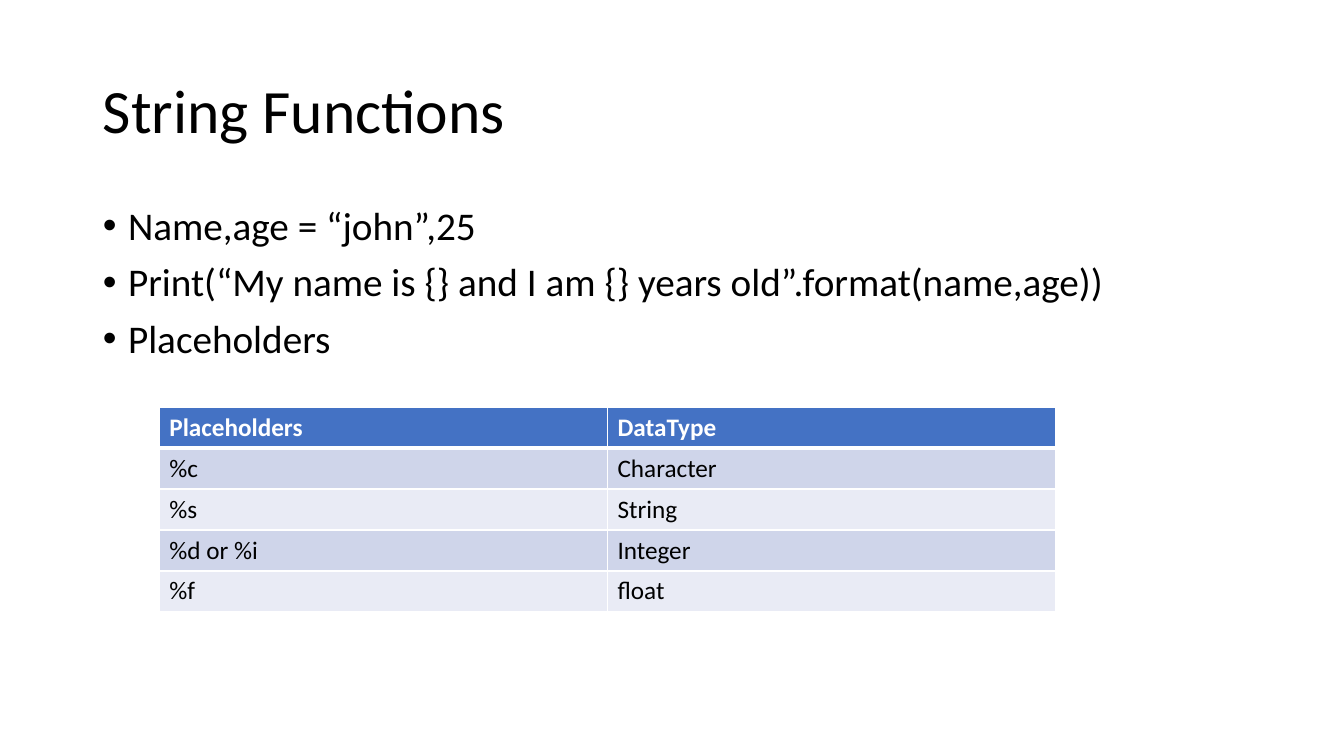
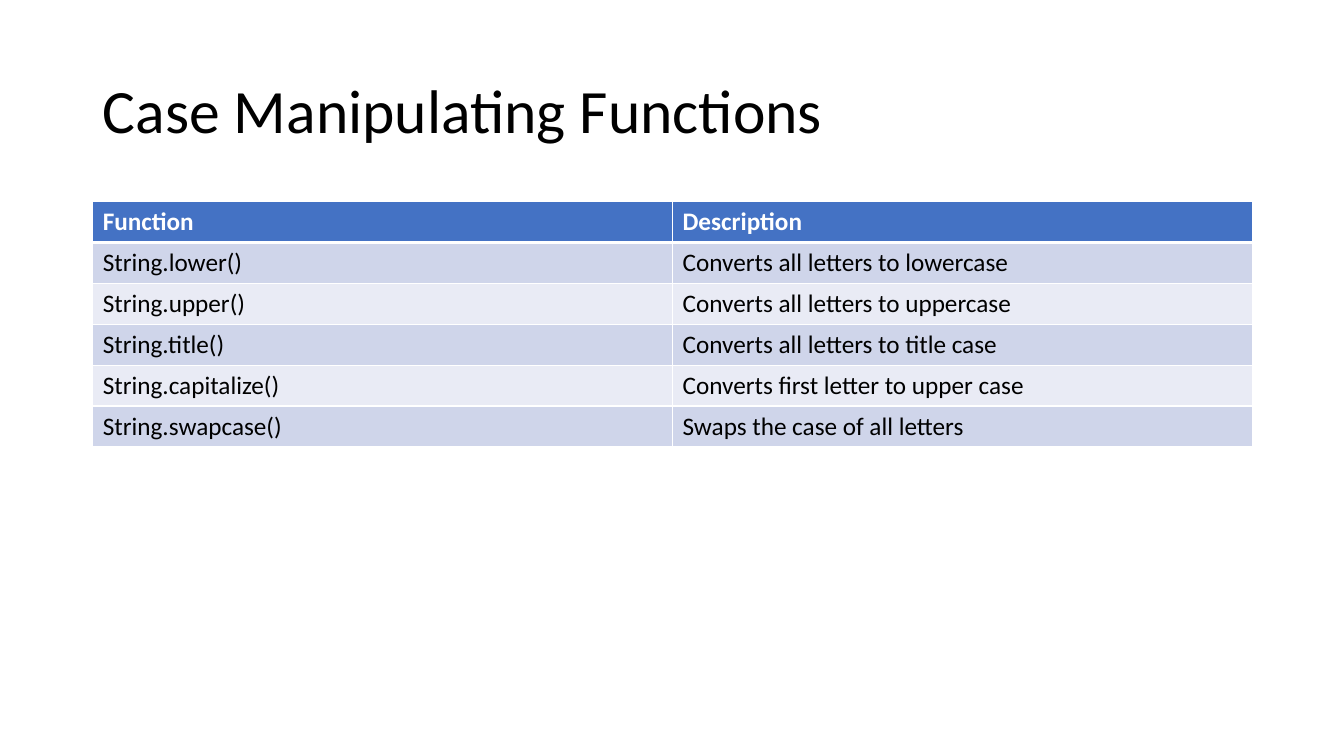
from dataclasses import dataclass

from lxml.etree import SubElement
from pptx import Presentation
from pptx.dml.color import RGBColor
from pptx.enum.text import MSO_ANCHOR as Anchor, MSO_AUTO_SIZE as AutoSize, PP_ALIGN as Align
from pptx.oxml.ns import qn
from pptx.util import Inches, Pt


@dataclass(frozen=True)
class Theme:
    font: str = "Calibri"
    text: str = "000000"
    light: str = "FFFFFF"
    header: str = "4472C4"
    bands: tuple = ("CFD5EA", "E9EBF5")
    title_size: int = 44
    body_size: int = 28
    table_size: int = 18
    thin_border: int = 1
    thick_border: int = 3


TITLE_BOX = (0.92, 0.4, 11.5, 1.45)
BODY_BOX = (0.92, 2, 11.5, 4.76)
BULLET_INDENT = 0.25
CONTENT_LAYOUT, TITLE_LAYOUT = 1, 5


class Deck:
    def __init__(self, theme):
        self.theme = theme
        self.presentation = Presentation()
        self.presentation.slide_width = Inches(13.33)
        self.presentation.slide_height = Inches(7.5)
        self.slide = None

    def set_values(self, target, values):
        for name, value in values.items():
            setattr(target, name, value)

    def style_font(self, paragraph, size, color, bold=False):
        self.set_values(paragraph.font, {"name": self.theme.font, "size": Pt(size), "bold": bold})
        paragraph.font.color.rgb = RGBColor.from_string(color)

    def place(self, shape, box):
        self.set_values(shape, dict(zip(("left", "top", "width", "height"), map(Inches, box))))

    def add_slide(self, title, layout):
        self.slide = self.presentation.slides.add_slide(self.presentation.slide_layouts[layout])
        shape = self.slide.shapes.title
        self.place(shape, TITLE_BOX)
        shape.text_frame.text = title
        self.set_values(shape.text_frame, {"vertical_anchor": Anchor.MIDDLE, "auto_size": AutoSize.NONE})
        paragraph = shape.text_frame.paragraphs[0]
        self.set_values(paragraph, {"alignment": Align.LEFT, "line_spacing": 0.9})
        self.style_font(paragraph, self.theme.title_size, self.theme.text)

    def add_bullets(self, lines):
        shape = self.slide.placeholders[1]
        self.place(shape, BODY_BOX)
        shape.text_frame.text = "\n".join(lines)
        shape.text_frame.auto_size = AutoSize.NONE
        for index, paragraph in enumerate(shape.text_frame.paragraphs):
            properties = paragraph._p.get_or_add_pPr()
            properties.set("marL", str(Inches(BULLET_INDENT)))
            properties.set("indent", str(-Inches(BULLET_INDENT)))
            SubElement(properties, qn("a:buFont"), typeface="Arial")
            SubElement(properties, qn("a:buChar"), char="•")
            self.set_values(paragraph, {"line_spacing": 0.9, "space_before": Pt(10 if index else 0)})
            self.style_font(paragraph, self.theme.body_size, self.theme.text)

    def add_borders(self, cell, row_index):
        thin, thick = self.theme.thin_border, self.theme.thick_border
        widths = {
            "lnL": thin,
            "lnR": thin,
            "lnT": thick if row_index == 1 else thin,
            "lnB": thick if row_index == 0 else thin,
        }
        properties = cell._tc.get_or_add_tcPr()
        for side, width in widths.items():
            line = SubElement(properties, qn(f"a:{side}"), w=str(Pt(width)))
            fill = SubElement(line, qn("a:solidFill"))
            SubElement(fill, qn("a:srgbClr"), val=self.theme.light)

    def add_table(self, rows, box):
        theme = self.theme
        table = self.slide.shapes.add_table(len(rows), len(rows[0]), *map(Inches, box)).table
        for row_index, row in enumerate(rows):
            is_header = row_index == 0
            background = theme.header if is_header else theme.bands[(row_index - 1) % 2]
            for column_index, text in enumerate(row):
                cell = table.cell(row_index, column_index)
                cell.text = text
                self.add_borders(cell, row_index)
                cell.fill.solid()
                cell.fill.fore_color.rgb = RGBColor.from_string(background)
                color = theme.light if is_header else theme.text
                self.style_font(cell.text_frame.paragraphs[0], theme.table_size, color, is_header)


def main():
    deck = Deck(Theme())

    deck.add_slide("String Functions", CONTENT_LAYOUT)
    deck.add_bullets([
        "Name,age = “john”,25",
        "Print(“My name is {} and I am {} years old”.format(name,age))",
        "Placeholders",
    ])
    deck.add_table([
        ("Placeholders", "DataType"),
        ("%c", "Character"),
        ("%s", "String"),
        ("%d or %i", "Integer"),
        ("%f", "float"),
    ], (1.58, 4.04, 8.89, 2.03))

    deck.add_slide("Case Manipulating Functions", TITLE_LAYOUT)
    deck.add_table([
        ("Function", "Description"),
        ("String.lower()", "Converts all letters to lowercase"),
        ("String.upper()", "Converts all letters to uppercase"),
        ("String.title()", "Converts all letters to title case"),
        ("String.capitalize()", "Converts first letter to upper case"),
        ("String.swapcase()", "Swaps the case of all letters"),
    ], (0.92, 2, 11.5, 2.43))

    deck.presentation.save("out.pptx")


if __name__ == "__main__":
    main()
